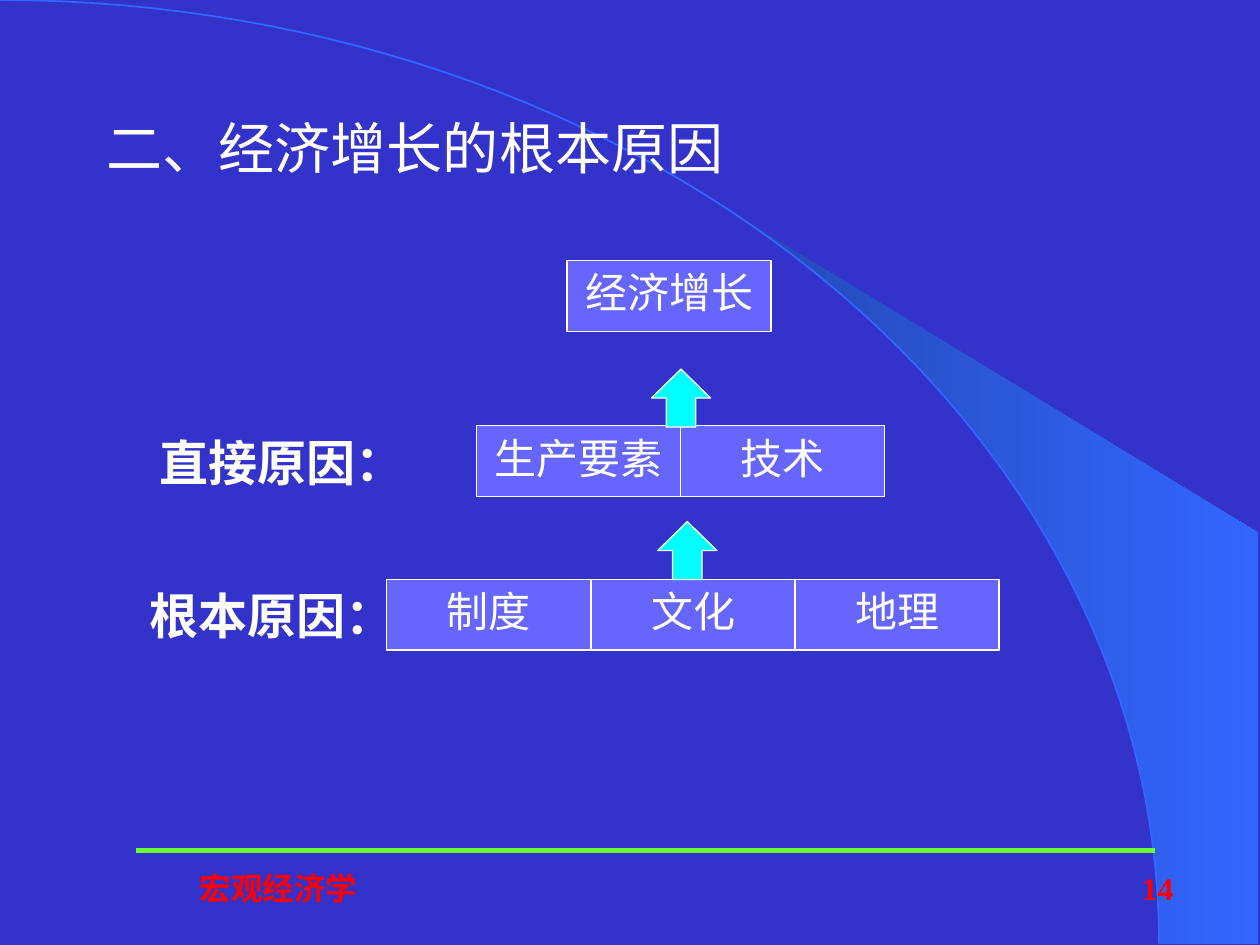
from math import cos, pi, sin, acos

from pptx import Presentation
from pptx.dml.color import RGBColor
from pptx.enum.shapes import MSO_CONNECTOR, MSO_SHAPE
from pptx.enum.text import MSO_ANCHOR, PP_ALIGN
from pptx.oxml.ns import qn
from pptx.util import Inches, Pt

COLORS = {
    "background": "3333CC",
    "shade": "2449B6",
    "arc": "3366FF",
    "rule": "66FF33",
    "footer": "FF0000",
    "box": "6666FF",
    "arrow": "00FFFF",
    "white": "FFFFFF",
}


def color(name):
    return RGBColor.from_string(COLORS[name])


def write(shape, text, size, color_name, bold, align, anchor, wrap):
    frame = shape.text_frame
    frame.text = text
    frame.word_wrap = wrap
    frame.vertical_anchor = anchor
    paragraph = frame.paragraphs[0]
    paragraph.alignment = align
    font = paragraph.runs[0].font
    font.name = "Times New Roman"
    font.size = Pt(size)
    font.bold = bold
    font.color.rgb = color(color_name)


presentation = Presentation()
presentation.slide_width = Inches(10)
presentation.slide_height = Inches(7.5)
slide = presentation.slides.add_slide(presentation.slide_layouts[6])
slide.background.fill.solid()
slide.background.fill.fore_color.rgb = color("background")
shapes = slide.shapes

arc_width, arc_height = 9.2, 7.49
steps = 60
wedge_start = acos(5.89 / arc_width)
curves = []
for start in (wedge_start, pi / 2):
    angles = [start * (1 - step / steps) for step in range(steps + 1)]
    curves.append([
        (Inches(arc_width * cos(angle)), Inches(arc_height * (1 - sin(angle))))
        for angle in angles
    ])
wedge_curve, arc_curve = curves
wedge_corners = [(Inches(9.99), Inches(7.49)), (Inches(9.99), Inches(4.23))]

builder = shapes.build_freeform(*wedge_curve[0])
builder.add_line_segments(wedge_curve[1:] + wedge_corners, close=True)
wedge = builder.convert_to_shape()
wedge.shadow.inherit = False
wedge.line.fill.background()
wedge.fill.gradient()
wedge.fill.gradient_angle = 0
for stop, name, position in zip(wedge.fill.gradient_stops, ("shade", "arc"), (0, 1)):
    stop.color.rgb = color(name)
    stop.position = position

builder = shapes.build_freeform(*arc_curve[0])
builder.add_line_segments(arc_curve[1:], close=False)
arc = builder.convert_to_shape()
arc.shadow.inherit = False
arc.fill.background()
arc.line.color.rgb = color("arc")
arc.line.width = Pt(1)

rule = shapes.add_connector(
    MSO_CONNECTOR.STRAIGHT, Inches(1.08), Inches(6.75), Inches(9.17), Inches(6.75)
)
rule.line.color.rgb = color("rule")
rule.line.width = Pt(3)
properties = rule.element.spPr
properties.append(properties.makeelement(qn("a:effectLst"), {}))

direct_top, root_top = 3.38, 4.6
texts = [
    ("宏观经济学", 0.42, 6.8, 3.58, 0.5, 18, "footer", True, PP_ALIGN.CENTER, MSO_ANCHOR.MIDDLE, True),
    ("14", 7.33, 6.8, 2.08, 0.5, 18, "footer", True, PP_ALIGN.RIGHT, MSO_ANCHOR.MIDDLE, True),
    ("二、经济增长的根本原因", 0.75, 0.85, 5.14, 0.64, 32, "white", False, PP_ALIGN.LEFT, MSO_ANCHOR.TOP, False),
    ("直接原因：", 1.17, direct_top, 2.2, 0.82, 28, "white", True, PP_ALIGN.LEFT, MSO_ANCHOR.TOP, True),
    ("根本原因：", 1.09, root_top, 2.2, 0.82, 28, "white", True, PP_ALIGN.LEFT, MSO_ANCHOR.TOP, True),
]
for text, left, top, width, height, *style in texts:
    textbox = shapes.add_textbox(Inches(left), Inches(top), Inches(width), Inches(height))
    write(textbox, text, *style)

box_width, box_height = 1.62, 0.56
box_rows = [
    (4.5, 2.07, ["经济增长"]),
    (3.78, direct_top, ["生产要素", "技术"]),
    (3.07, root_top, ["制度", "文化", "地理"]),
]
blocks = [
    (MSO_SHAPE.RECTANGLE, left + index * box_width, top, box_width, box_height, "box", label)
    for left, top, labels in box_rows
    for index, label in enumerate(labels)
]
for left, top in ((5.22, 4.14), (5.17, 2.93)):
    blocks.append((MSO_SHAPE.UP_ARROW, left, top, 0.47, 0.46, "arrow", ""))

for kind, left, top, width, height, fill, label in blocks:
    block = shapes.add_shape(kind, Inches(left), Inches(top), Inches(width), Inches(height))
    block.shadow.inherit = False
    block.fill.solid()
    block.fill.fore_color.rgb = color(fill)
    block.line.color.rgb = color("white")
    block.line.width = Pt(0.75)
    if label:
        write(block, label, 24, "white", False, PP_ALIGN.CENTER, MSO_ANCHOR.TOP, False)

presentation.save("out.pptx")
